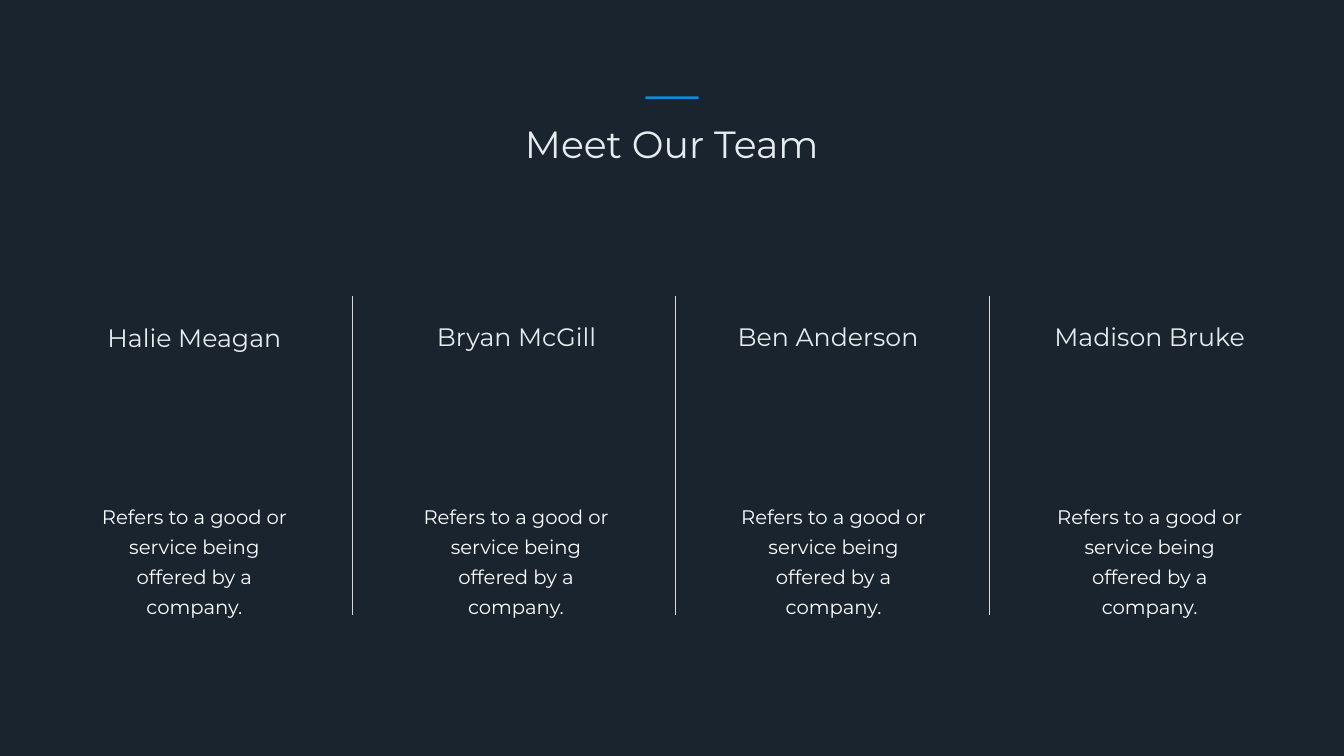
from dataclasses import dataclass

import pptx
import pptx.dml.color
import pptx.enum.shapes
import pptx.enum.text
import pptx.oxml
import pptx.oxml.ns
import pptx.slide
import pptx.util

EMU_PER_PX = 9144  # 100 px to the inch
FONT = "Montserrat"
COLORS = {
    "background": "19242F",
    "heading": "E6ECED",
    "body": "FFFFFF",
    "accent": "0F8BDA",
    "divider": "D9D9D9",
}
DESCRIPTION = "Refers to a good or service being offered by a company."
DESCRIPTION_TOP, DESCRIPTION_WIDTH, DESCRIPTION_HEIGHT = 976, 451, 200
NAME_HEIGHT = 71
DIVIDER_LEFTS = (699, 1339, 1963)
DIVIDER_TOP, DIVIDER_BOTTOM = 587, 1221


@dataclass(frozen=True)
class Box:
    left: int
    top: int
    width: int
    height: int


@dataclass(frozen=True)
class TextStyle:
    size: int
    color: str
    wrap: bool = True
    line_spacing: int | None = None
    margin_x: int = 10
    margin_y: int = 5


@dataclass(frozen=True)
class Member:
    name: str
    name_left: int
    name_top: int
    name_width: int
    description_left: int


TITLE_STYLE = TextStyle(54, "heading", wrap=False)
NAME_STYLE = TextStyle(36, "heading")
DESCRIPTION_STYLE = TextStyle(28, "body", line_spacing=43, margin_x=24, margin_y=12)

MEMBERS = (
    Member("Halie Meagan", 181, 635, 409, 160),
    Member("Bryan McGill", 820, 632, 409, 798),
    Member("Ben Anderson", 1429, 632, 427, 1428),
    Member("Madison Bruke", 2076, 632, 409, 2055),
)


def px(length: int) -> pptx.util.Emu:
    return pptx.util.Emu(length * EMU_PER_PX)


def rgb(name: str) -> pptx.dml.color.RGBColor:
    return pptx.dml.color.RGBColor.from_string(COLORS[name])


def add_text(slide: pptx.slide.Slide, text: str, box: Box, style: TextStyle) -> None:
    shape = slide.shapes.add_textbox(
        px(box.left), px(box.top), px(box.width), px(box.height)
    )
    frame = shape.text_frame
    frame.word_wrap = style.wrap
    frame.auto_size = pptx.enum.text.MSO_AUTO_SIZE.SHAPE_TO_FIT_TEXT
    frame.margin_left = frame.margin_right = px(style.margin_x)
    frame.margin_top = frame.margin_bottom = px(style.margin_y)
    paragraph = frame.paragraphs[0]
    paragraph.text = text
    paragraph.alignment = pptx.enum.text.PP_ALIGN.CENTER
    if style.line_spacing is not None:
        paragraph.line_spacing = pptx.util.Pt(style.line_spacing)
    paragraph.font.name = FONT
    paragraph.font.size = pptx.util.Pt(style.size)
    paragraph.font.color.rgb = rgb(style.color)


def add_accent_bar(slide: pptx.slide.Slide, box: Box) -> None:
    shape = slide.shapes.add_shape(
        pptx.enum.shapes.MSO_SHAPE.RECTANGLE,
        px(box.left), px(box.top), px(box.width), px(box.height),
    )
    shape.shadow.inherit = False
    shape.fill.solid()
    shape.fill.fore_color.rgb = rgb("accent")
    shape.line.fill.background()


def add_divider(slide: pptx.slide.Slide, left: int) -> None:
    connector = slide.shapes.add_connector(
        pptx.enum.shapes.MSO_CONNECTOR.STRAIGHT,
        px(left), px(DIVIDER_TOP), px(left), px(DIVIDER_BOTTOM),
    )
    connector.line.color.rgb = rgb("divider")
    connector.line.width = pptx.util.Pt(0.5)
    properties = connector._element.spPr
    properties.append(properties.makeelement(pptx.oxml.ns.qn("a:effectLst")))


def add_member(slide: pptx.slide.Slide, member: Member) -> None:
    name_box = Box(member.name_left, member.name_top, member.name_width, NAME_HEIGHT)
    description_box = Box(
        member.description_left, DESCRIPTION_TOP, DESCRIPTION_WIDTH, DESCRIPTION_HEIGHT
    )
    add_text(slide, member.name, name_box, NAME_STYLE)
    add_text(slide, DESCRIPTION, description_box, DESCRIPTION_STYLE)


def main() -> None:
    presentation = pptx.Presentation()
    presentation.slide_width, presentation.slide_height = px(2666), px(1500)
    slide = presentation.slides.add_slide(presentation.slide_layouts[6])
    slide.background.fill.solid()
    slide.background.fill.fore_color.rgb = rgb("background")

    add_text(slide, "Meet Our Team", Box(1026, 234, 613, 101), TITLE_STYLE)
    add_accent_bar(slide, Box(1280, 191, 106, 5))
    for member in MEMBERS:
        add_member(slide, member)
    for left in DIVIDER_LEFTS:
        add_divider(slide, left)

    presentation.save("out.pptx")


if __name__ == "__main__":
    main()
